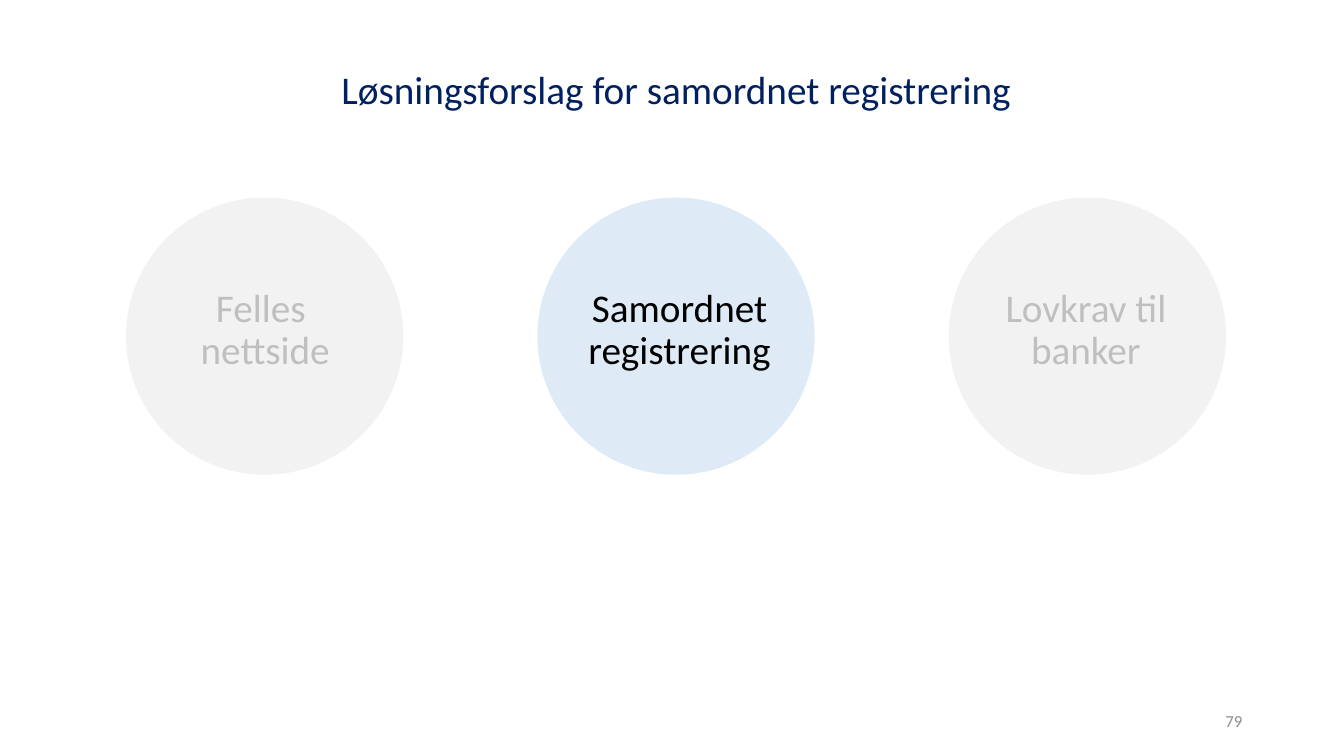
from pptx import Presentation
from pptx import util as u
from pptx.dml.color import RGBColor
from pptx.enum import shapes, text

HUES = {"pale": "F2F2F2", "blue": "DEEBF7", "dim": "BFBFBF",
        "black": "000000", "navy": "002060", "gray": "8C8C8C"}


class Deck:
    """Holds the style and the current slide."""
    font = "Calibri"

    def __init__(self, wide, high):
        self.prs = Presentation()
        self.prs.slide_width = u.Inches(wide)
        self.prs.slide_height = u.Inches(high)
        self.slide = self.prs.slides.add_slide(self.prs.slide_layouts[6])

    def hue(self, name):
        return RGBColor.from_string(HUES[name])

    def disc(self, left, top, size, fill):
        box = [u.Inches(v) for v in (left, top, size, size)]
        disc = self.slide.shapes.add_shape(shapes.MSO_SHAPE.OVAL, *box)
        disc.shadow.inherit = False
        disc.fill.solid()
        disc.fill.fore_color.rgb = self.hue(fill)
        disc.line.fill.background()

    def label(self, lines, box, hue, size=28, align="CENTER", space=None, **frame):
        area = [u.Inches(v) for v in box]
        body = self.slide.shapes.add_textbox(*area).text_frame
        for key, val in {"word_wrap": True, **frame}.items():
            setattr(body, key, val)
        body.text = lines
        style = {"name": self.font, "size": u.Pt(size)}
        for para in body.paragraphs:
            para.alignment = text.PP_ALIGN[align]
            para.line_spacing = space
            for run in para.runs:
                for key, val in style.items():
                    setattr(run.font, key, val)
                run.font.color.rgb = self.hue(hue)


def main():
    deck = Deck(13.33, 7.5)

    # Three circles: wording, fill, text colour, label inset, label width and height
    parts = [("Felles \nnettside", "pale", "dim", 0.47, 1.82, 1.62),
             ("Samordnet registrering", "blue", "black", 0.26, 2.3, 0.83),
             ("Lovkrav til banker", "pale", "dim", 0.38, 1.96, 1.44)]
    first, step = 1.25, 4.08
    for i, (words, fill, hue, inset, wide, high) in enumerate(parts):
        left = first + i * step
        deck.disc(left, 1.96, 2.75, fill)
        deck.label(words, (left + inset, 2.81, wide, high), hue, space=0.9)

    # Title
    deck.label("Løsningsforslag for samordnet registrering", (3.25, 0.6, 6.91, 0.57),
               "navy", word_wrap=False, auto_size=text.MSO_AUTO_SIZE.SHAPE_TO_FIT_TEXT)

    # Page number
    deck.label("79", (9.42, 6.95, 3, 0.4), "gray", 12, "RIGHT",
               vertical_anchor=text.MSO_ANCHOR.MIDDLE)

    deck.prs.save("out.pptx")


if __name__ == "__main__":
    main()
